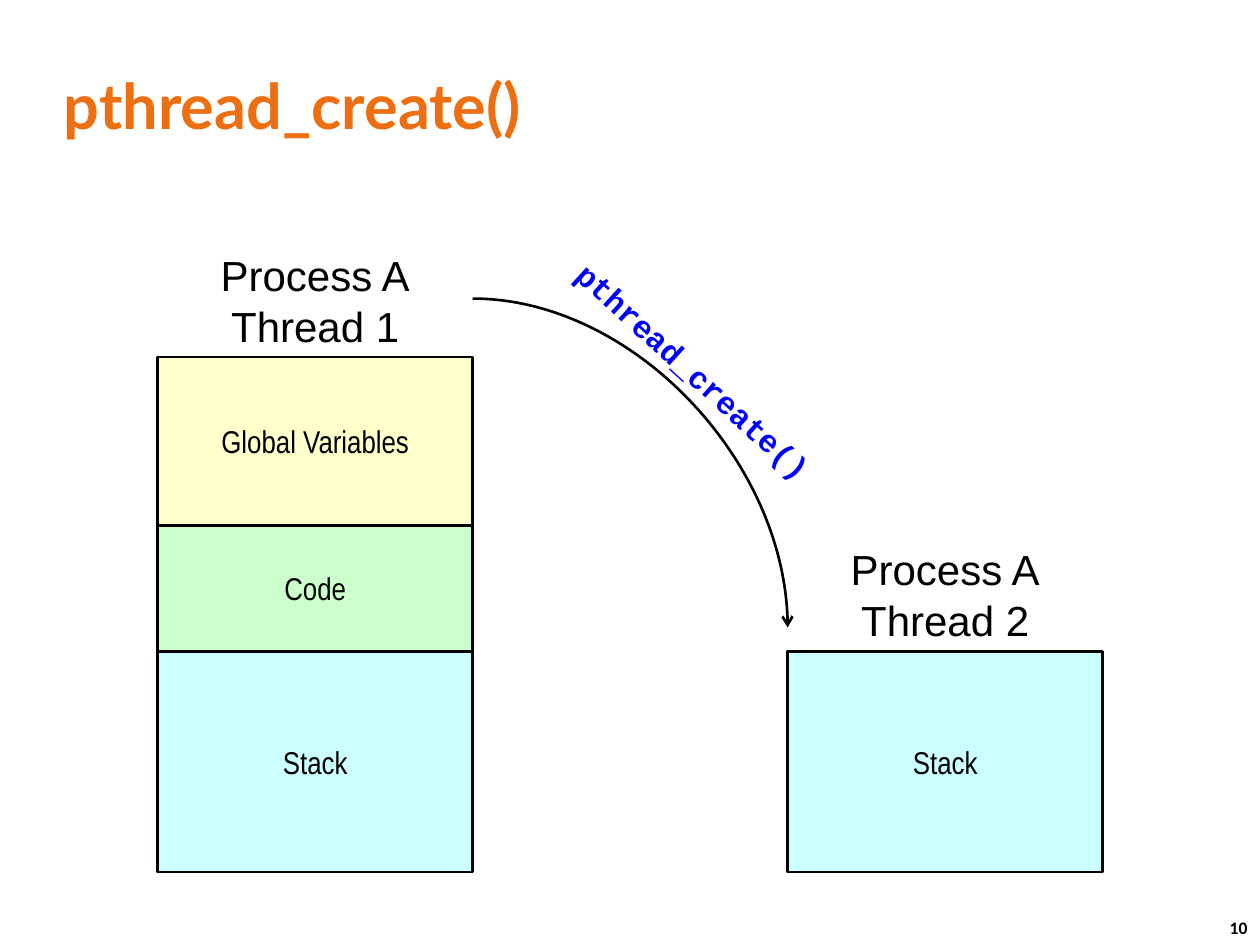
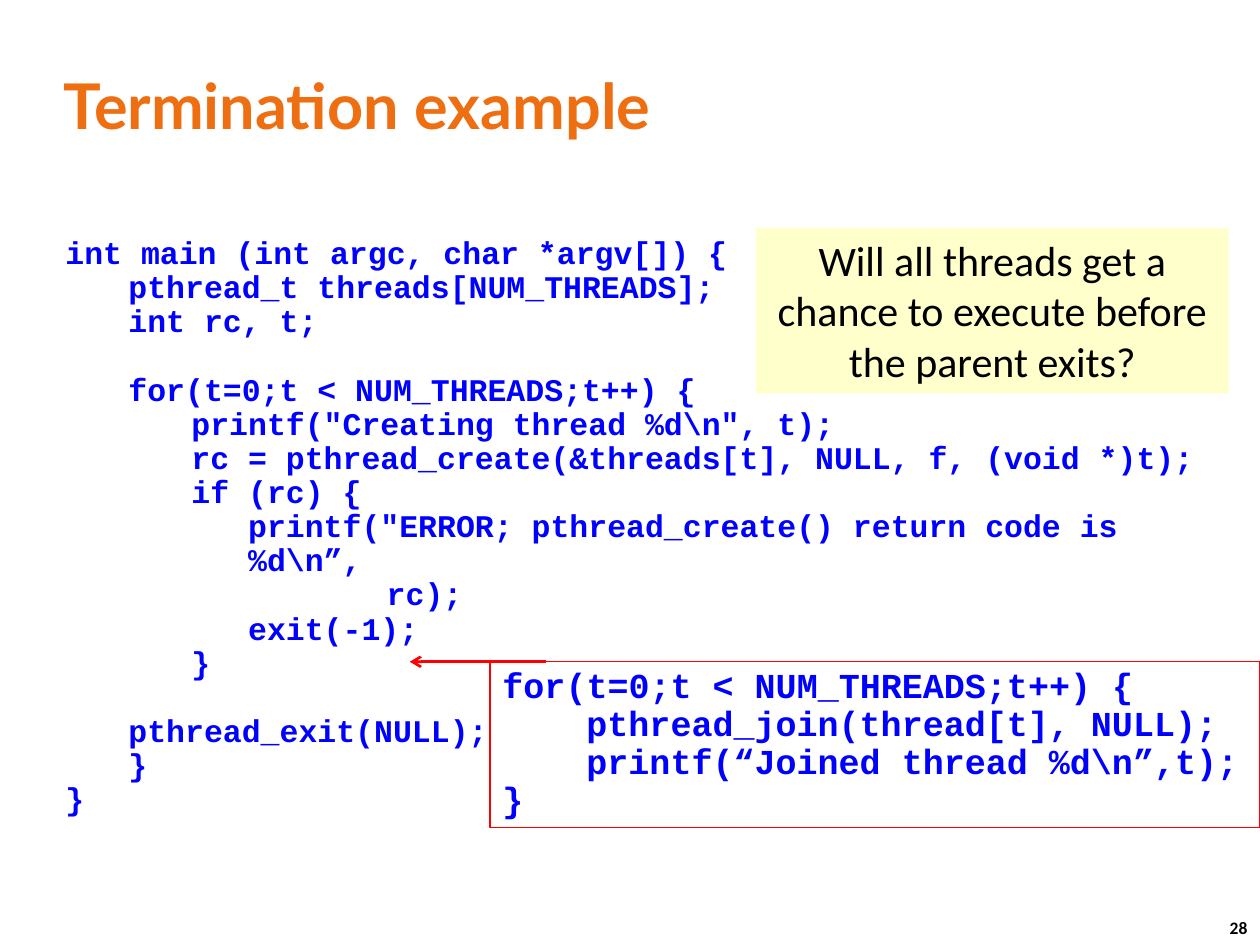
from dataclasses import dataclass
from typing import NamedTuple

from lxml.etree import SubElement
from pptx import Presentation
from pptx.dml.color import RGBColor
from pptx.enum.shapes import MSO_CONNECTOR as Link, MSO_SHAPE as Preset
from pptx.enum.text import MSO_ANCHOR as Anchor, PP_ALIGN as Align
from pptx.oxml.ns import qn
from pptx.util import Cm, Pt


# Text styles, boxes and the theme
class Style(NamedTuple):
    font: str
    size: float
    color: str
    bold: bool = False
    align: Align = Align.LEFT
    anchor: Anchor = Anchor.TOP
    pitch: float | None = None  # line pitch in points


class Box(NamedTuple):
    left: float
    top: float
    width: float
    height: float


@dataclass(frozen=True)
class Theme:
    black: str = "000000"
    red: str = "FF0000"
    yellow: str = "FFFFCC"
    green: str = "CCFFCC"
    cyan: str = "CCFFFF"
    thin: float = 0.75
    thick: float = 1.5
    title: Style = Style("Lato", 36, "EE6E12", True, anchor=Anchor.MIDDLE)
    number: Style = Style("Calibri", 10, "000000", True)
    segment: Style = Style("Arial Narrow", 18, "000000", align=Align.CENTER, anchor=Anchor.MIDDLE)
    caption: Style = Style("Arial", 24, "000000", align=Align.CENTER, pitch=29.2)
    callout: Style = Style("Calibri", 24, "000000", align=Align.CENTER)
    label: Style = Style("Courier New", 18, "0000FF", True)
    code: Style = Style("Courier New", 18, "0000FF", True, pitch=19.5)
    join_code: Style = Style("Courier New", 20, "0000FF", True, pitch=21.7)


THEME = Theme()
TITLE_BOX = Box(1.04, 1.04, 23.29, 2.11)
NUMBER_BOX = Box(24.54, 18.36, 0.94, 0.69)
TAB = 1.27


# Content records
@dataclass(frozen=True)
class Line:
    text: str
    tabs: int = 0
    chars: int = 0
    gap: bool = False  # one empty line above


@dataclass(frozen=True)
class Segment:
    name: str
    height: float
    fill: str


@dataclass(frozen=True)
class Thread:
    name: str
    left: float
    top: float
    segments: tuple[Segment, ...]


STACK = Segment("Stack", 4.45, THEME.cyan)
THREADS = (
    Thread("Thread 1", 3.18, 7.2, (
        Segment("Global Variables", 3.39, THEME.yellow),
        Segment("Code", 2.54, THEME.green),
        STACK,
    )),
    Thread("Thread 2", 15.88, 13.13, (STACK,)),
)
THREAD_WIDTH = 6.35
CAPTION_HEIGHT = 2.31

MAIN_CODE = (
    Line("int main (int argc, char *argv[]) {"),
    Line("pthread_t threads[NUM_THREADS];", 1),
    Line("int rc, t;", 1),
    Line("for(t=0;t < NUM_THREADS;t++) {", 1, gap=True),
    Line('printf("Creating thread %d\\n", t);', 2),
    Line("rc = pthread_create(&threads[t], NULL, f, (void *)t);", 2),
    Line("if (rc) {", 2),
    Line('printf("ERROR; pthread_create() return code is %d\\n”,', 2, 3),
    Line("rc);", 0, 17),
    Line("exit(-1);", 2, 3),
    Line("}", 2),
    Line("pthread_exit(NULL);", 1, gap=True),
    Line("}", 1),
    Line("}"),
)
JOIN_CODE = (
    Line("for(t=0;t < NUM_THREADS;t++) {"),
    Line("pthread_join(thread[t], NULL);", chars=4),
    Line("printf(“Joined thread %d\\n”,t);", chars=4),
    Line("}"),
)


# Drawing functions
def set_all(obj, formats: dict) -> None:
    for name, value in formats.items():
        setattr(obj, name, value)


def write(sp, style: Style, lines: tuple[Line, ...]) -> None:
    tf = sp.text_frame
    set_all(tf, {"word_wrap": True, "vertical_anchor": style.anchor})
    char_width = Pt(style.size * 0.6)
    for i, line in enumerate(lines):
        p = tf.add_paragraph() if i else tf.paragraphs[0]
        p.alignment = style.align
        if style.pitch:
            p.line_spacing = Pt(style.pitch)
            if line.gap:
                p.space_before = Pt(style.pitch)
        indent = Cm(line.tabs * TAB) + line.chars * char_width
        if indent:
            p._p.get_or_add_pPr().set("marL", str(indent))
        r = p.add_run()
        r.text = line.text
        set_all(r.font, {"name": style.font, "size": Pt(style.size), "bold": style.bold})
        r.font.color.rgb = RGBColor.from_string(style.color)


def add_text(s, box: Box, style: Style, *lines: Line, rotation: float = 0):
    sp = s.shapes.add_textbox(*map(Cm, box))
    sp.rotation = rotation
    write(sp, style, lines)


def set_line(line, color: str, width: float) -> None:
    line.color.rgb = RGBColor.from_string(color)
    line.width = Pt(width)


def add_rect(s, box: Box, style: Style, *lines: Line, fill: str | None = None,
             outline: str | None = None, width: float = THEME.thick) -> None:
    sp = s.shapes.add_shape(Preset.RECTANGLE, *map(Cm, box))
    sp.shadow.inherit = False
    if fill:
        sp.fill.solid()
        sp.fill.fore_color.rgb = RGBColor.from_string(fill)
    else:
        sp.fill.background()
    if outline:
        set_line(sp.line, outline, width)
    else:
        sp.line.fill.background()
    write(sp, style, lines)


def add_arrow(s, start: tuple[float, float], end: tuple[float, float],
              color: str, curved: bool = False) -> None:
    kind = Link.CURVE if curved else Link.STRAIGHT
    cn = s.shapes.add_connector(kind, *map(Cm, start + end))
    set_line(cn.line, color, THEME.thick)
    props = cn._element.spPr
    if curved:
        props.find(qn("a:prstGeom")).set("prst", "curvedConnector2")
    SubElement(props.find(qn("a:ln")), qn("a:tailEnd"), type="arrow")
    SubElement(props, qn("a:effectLst"))


def new_slide(prs, title: str, number: int):
    s = prs.slides.add_slide(prs.slide_layouts[6])
    add_text(s, NUMBER_BOX, THEME.number, Line(str(number)))
    add_text(s, TITLE_BOX, THEME.title, Line(title))
    return s


def add_thread(s, thread: Thread) -> None:
    caption = Box(thread.left, thread.top - CAPTION_HEIGHT, THREAD_WIDTH, CAPTION_HEIGHT)
    add_text(s, caption, THEME.caption, Line("Process A"), Line(thread.name))
    top = thread.top
    for seg in thread.segments:
        add_rect(s, Box(thread.left, top, THREAD_WIDTH, seg.height), THEME.segment,
                 Line(seg.name), fill=seg.fill, outline=THEME.black)
        top += seg.height


# Slides
def create_slide(prs) -> None:
    s = new_slide(prs, "pthread_create()", 10)
    for thread in THREADS:
        add_thread(s, thread)
    first, second = THREADS
    add_arrow(s, (first.left + THREAD_WIDTH, 6.02), (second.left, 12.65),
              THEME.black, curved=True)
    add_text(s, Box(10.31, 7.65, 8.71, 1.3), THEME.label,
             Line("pthread_create()"), rotation=42.5)


def termination_slide(prs) -> None:
    s = new_slide(prs, "Termination example", 28)
    add_text(s, Box(1.07, 4.65, 24.3, 14.2), THEME.code, *MAIN_CODE)
    add_rect(s, Box(15.24, 4.6, 9.53, 3.33), THEME.callout,
             Line("Will all threads get a chance to execute before the parent exits?"),
             fill=THEME.yellow)
    join = Box(9.88, 13.34, 15.52, 3.35)
    add_rect(s, join, THEME.join_code, *JOIN_CODE, outline=THEME.red, width=THEME.thin)
    add_arrow(s, (11, join.top), (8.26, join.top), THEME.red)


def main() -> None:
    prs = Presentation()
    set_all(prs, {"slide_width": Cm(25.4), "slide_height": Cm(19.05)})
    create_slide(prs)
    termination_slide(prs)
    prs.save("out.pptx")


if __name__ == "__main__":
    main()
